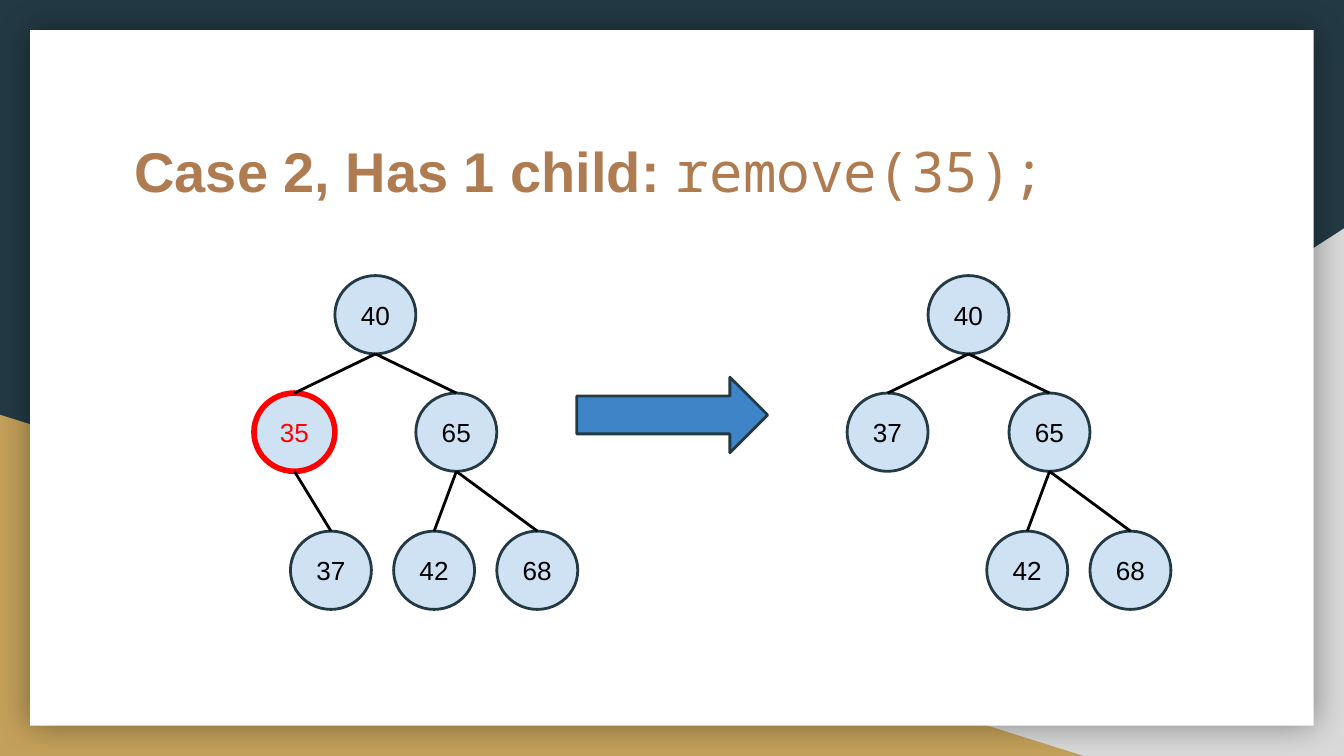
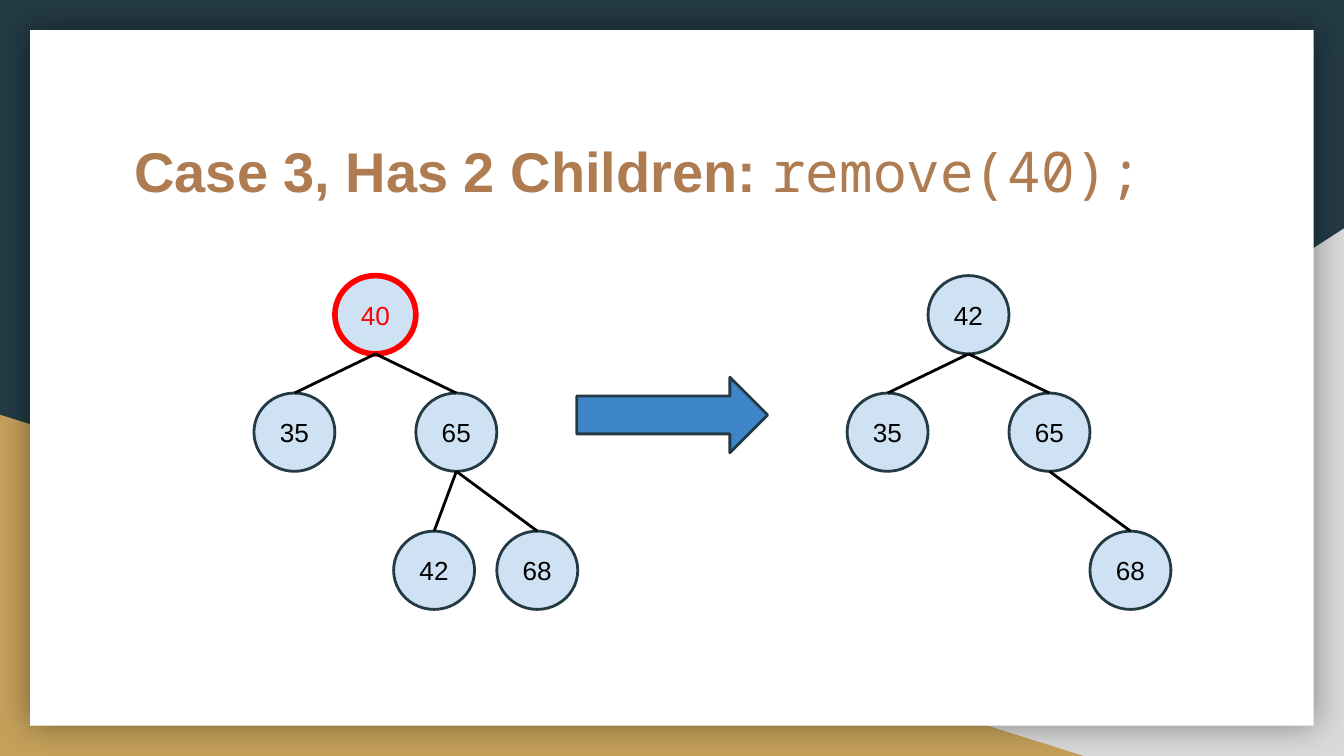
import pptx
import pptx.dml.color
import pptx.enum.shapes
import pptx.enum.text
import pptx.oxml.ns
import pptx.util
from lxml import etree

Cm = pptx.util.Cm
Pt = pptx.util.Pt
Shapes = pptx.enum.shapes.MSO_SHAPE
qn = pptx.oxml.ns.qn

COLORS = {
    "navy": "233A44",
    "grey": "D9D9D9",
    "gold": "C4A15A",
    "card": "FFFFFF",
    "title": "AF7B51",
    "node": "CFE2F3",
    "marked": "FF0000",
    "text": "000000",
    "arrow": "3D85C6",
}
SLIDE_WIDTH, SLIDE_HEIGHT = 25.4, 14.29
CARD_MARGIN = 0.57
TITLE_BOX = (2.29, 2.34, 20.85, 2.64)
BEFORE_BOX = (4.8, 5.21, 6.12, 6.31)
AFTER_BOX = (16.01, 5.21, 6.12, 6.31)
ARROW_BOX = (10.9, 7.13, 3.61, 1.43)
NODE_WIDTH, NODE_HEIGHT = 1.53, 1.48
LEAF_STEP = 1.95

PARENTS = {"left": "root", "right": "root", "left.right": "left",
           "right.left": "right", "right.right": "right"}

CASES = [
    {"title": "Case 2, Has 1 child: ", "call": "remove(35);", "marked": "left",
     "before": {"root": 40, "left": 35, "right": 65,
                "left.right": 37, "right.left": 42, "right.right": 68},
     "after": {"root": 40, "left": 37, "right": 65,
               "right.left": 42, "right.right": 68}},
    {"title": "Case 3, Has 2 Children: ", "call": "remove(40);", "marked": "root",
     "before": {"root": 40, "left": 35, "right": 65,
                "right.left": 42, "right.right": 68},
     "after": {"root": 42, "left": 35, "right": 65, "right.right": 68}},
]


def rgb(name):
    """Return the named colour."""
    return pptx.dml.color.RGBColor.from_string(COLORS[name])


def add_shape(slide, kind, box, fill, line=None, line_width=1.5):
    """Add a flat preset shape in a box given in centimetres."""
    shape = slide.shapes.add_shape(kind, *map(Cm, box))
    shape.shadow.inherit = False
    shape.fill.solid()
    shape.fill.fore_color.rgb = rgb(fill)
    if line:
        shape.line.color.rgb = rgb(line)
        shape.line.width = Pt(line_width)
    else:
        shape.line.fill.background()
    return shape


def set_insets(text_frame):
    """Give a text frame equal insets and wrapping."""
    text_frame.word_wrap = True
    text_frame.margin_left = text_frame.margin_right = Cm(0.25)
    text_frame.margin_top = text_frame.margin_bottom = Cm(0.25)


def add_glow(shape):
    """Put a soft, centred shadow around a shape."""
    effects = shape._element.spPr.find(qn("a:effectLst"))
    shadow = etree.SubElement(effects, qn("a:outerShdw"), blurRad=str(Pt(18)),
                              dist="0", dir="0", algn="ctr", rotWithShape="0")
    color = etree.SubElement(shadow, qn("a:srgbClr"), val=COLORS["text"])
    etree.SubElement(color, qn("a:alpha"), val="40000")


def add_backdrop(slide, width, height):
    """Draw the background, the two corner triangles and the white card."""
    slide.background.fill.solid()
    slide.background.fill.fore_color.rgb = rgb("navy")
    grey_width, grey_height = 15.44, 9.97
    grey = add_shape(slide, Shapes.RIGHT_TRIANGLE,
                     (width - grey_width, height - grey_height, grey_width, grey_height),
                     "grey")
    grey._element.spPr.find(qn("a:xfrm")).set("flipH", "1")
    gold_width, gold_height = 20.48, 6.45
    add_shape(slide, Shapes.RIGHT_TRIANGLE,
              (0, height - gold_height, gold_width, gold_height), "gold")
    card = add_shape(slide, Shapes.RECTANGLE,
                     (CARD_MARGIN, CARD_MARGIN,
                      width - 2 * CARD_MARGIN, height - 2 * CARD_MARGIN), "card")
    add_glow(card)


def add_title(slide, box, title, call):
    """Write the bold title followed by the call in a monospaced font."""
    text_frame = slide.shapes.add_textbox(*map(Cm, box)).text_frame
    set_insets(text_frame)
    paragraph = text_frame.paragraphs[0]
    paragraph.font.size = Pt(30)
    paragraph.font.color.rgb = rgb("title")
    for text, font, bold in ((title, "Arial", True), (call, "Noto Sans Mono", False)):
        run = paragraph.add_run()
        run.text = text
        run.font.name = font
        run.font.bold = bold


def add_node(slide, left, top, value, marked):
    """Add one tree node, outlined in red when marked."""
    node = add_shape(slide, Shapes.OVAL, (left, top, NODE_WIDTH, NODE_HEIGHT), "node",
                     "marked" if marked else "navy", 3 if marked else 1.5)
    set_insets(node.text_frame)
    node.text_frame.vertical_anchor = pptx.enum.text.MSO_ANCHOR.MIDDLE
    paragraph = node.text_frame.paragraphs[0]
    paragraph.text = str(value)
    paragraph.alignment = pptx.enum.text.PP_ALIGN.CENTER
    paragraph.font.name = "Arial"
    paragraph.font.size = Pt(14)
    paragraph.font.color.rgb = rgb("marked" if marked else "text")
    return node


def add_edge(slide, parent, child):
    """Draw a line from the bottom of the parent to the top of the child."""
    edge = slide.shapes.add_connector(
        pptx.enum.shapes.MSO_CONNECTOR.STRAIGHT,
        parent.left + parent.width // 2, parent.top + parent.height,
        child.left + child.width // 2, child.top)
    edge.line.color.rgb = rgb("text")
    edge.line.width = Pt(1.5)
    etree.SubElement(edge._element.spPr, qn("a:effectLst"))


def add_tree(slide, box, values, marked=None):
    """Draw a binary tree from the values of its filled places."""
    left, top, width, height = box
    middle_row = 1.5 * NODE_HEIGHT
    leaf_row = height - NODE_HEIGHT
    last_leaf = width - NODE_WIDTH
    offsets = {
        "root": (NODE_WIDTH, 0),
        "left": (0, middle_row),
        "right": (2 * NODE_WIDTH, middle_row),
        "left.right": (last_leaf - 2 * LEAF_STEP, leaf_row),
        "right.left": (last_leaf - LEAF_STEP, leaf_row),
        "right.right": (last_leaf, leaf_row),
    }
    nodes = {}
    for place, value in values.items():
        x, y = offsets[place]
        nodes[place] = add_node(slide, left + x, top + y, value, place == marked)
    for place, parent in PARENTS.items():
        if place in nodes:
            add_edge(slide, nodes[parent], nodes[place])


def add_case_slide(presentation, case):
    """Build a slide showing the tree before and after a removal."""
    slide = presentation.slides.add_slide(presentation.slide_layouts[6])
    add_backdrop(slide, SLIDE_WIDTH, SLIDE_HEIGHT)
    add_title(slide, TITLE_BOX, case["title"], case["call"])
    add_tree(slide, BEFORE_BOX, case["before"], case["marked"])
    add_tree(slide, AFTER_BOX, case["after"])
    add_shape(slide, Shapes.RIGHT_ARROW, ARROW_BOX, "arrow", "navy")


def main():
    """Build and save the presentation."""
    presentation = pptx.Presentation()
    presentation.slide_width = Cm(SLIDE_WIDTH)
    presentation.slide_height = Cm(SLIDE_HEIGHT)
    for case in CASES:
        add_case_slide(presentation, case)
    presentation.save("out.pptx")


if __name__ == "__main__":
    main()
